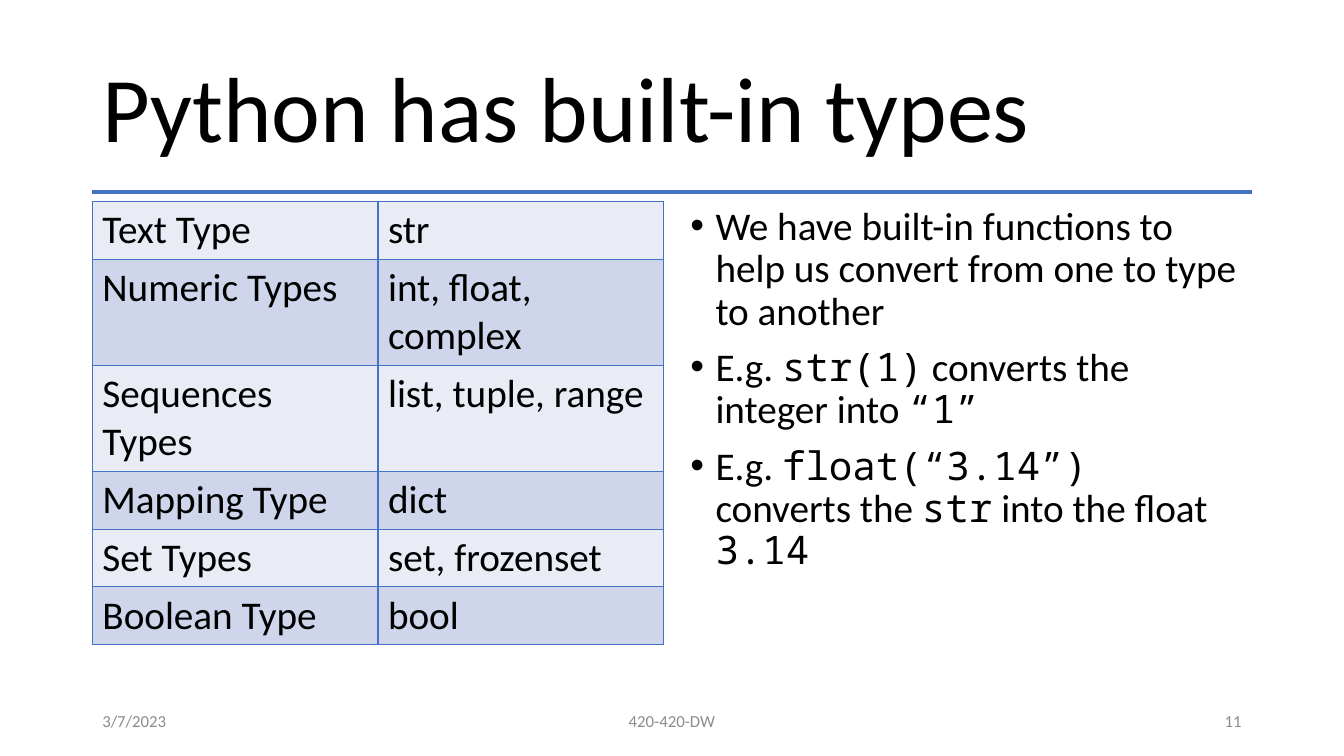
from dataclasses import dataclass

from lxml.etree import SubElement
from pptx import Presentation
from pptx.dml.color import RGBColor
from pptx.enum.shapes import MSO_CONNECTOR
from pptx.enum.text import MSO_ANCHOR, PP_ALIGN
from pptx.oxml.ns import qn
from pptx.slide import Slide
from pptx.table import _Cell
from pptx.text.text import TextFrame, _Paragraph
from pptx.util import Emu, Pt


@dataclass(frozen=True)
class Theme:
    text: str = "000000"
    muted: str = "8C8C8C"
    accent: str = "4472C4"
    bands: tuple[str, str] = ("E9EBF5", "CFD5EA")
    sans: str = "Calibri"
    mono: str = "Noto Sans Mono"
    title_size: int = 66
    body_size: int = 28
    footer_size: int = 12


@dataclass(frozen=True)
class Box:
    left: int
    top: int
    width: int
    height: int


@dataclass(frozen=True)
class TypeRow:
    category: str
    types: str
    height: int


@dataclass(frozen=True)
class Footer:
    text: str
    left: int
    width: int
    alignment: PP_ALIGN


THEME = Theme()

# Layout: 96 px to the inch
SLIDE_WIDTH, SLIDE_HEIGHT = 1280, 720
MARGIN = 88
CONTENT_WIDTH = SLIDE_WIDTH - 2 * MARGIN
CONTENT_TOP = 192
COLUMN_WIDTH = 544
RULE_TOP = 183
FOOTER_TOP, FOOTER_HEIGHT = 667, 38
INDENT = 24
ONE_LINE, TWO_LINES = 55, 101

TYPE_ROWS = [
    TypeRow("Text Type", "str", ONE_LINE),
    TypeRow("Numeric Types", "int, float, complex", TWO_LINES),
    TypeRow("Sequences Types", "list, tuple, range", TWO_LINES),
    TypeRow("Mapping Type", "dict", ONE_LINE),
    TypeRow("Set Types", "set, frozenset", ONE_LINE),
    TypeRow("Boolean Type", "bool", ONE_LINE),
]

# Each bullet alternates between prose and code, starting with prose
BULLETS = [
    ["We have built-in functions to help us convert from one to type to another"],
    ["E.g. ", "str(1)", " converts the integer into ", "“1”"],
    ["E.g. ", "float(“3.14”) ", "converts the ", "str", " into the float ", "3.14"],
]

FOOTERS = [
    Footer("3/7/2023", MARGIN, 288, PP_ALIGN.LEFT),
    Footer("420-420-DW", 424, 432, PP_ALIGN.CENTER),
    Footer("11", 904, 288, PP_ALIGN.RIGHT),
]


def px(length: int) -> Emu:
    return Emu(length * 9525)


def style(paragraph: _Paragraph, size: int, color: str = THEME.text) -> None:
    paragraph.font.size = Pt(size)
    paragraph.font.name = THEME.sans
    paragraph.font.color.rgb = RGBColor.from_string(color)


def add_text_frame(slide: Slide, box: Box, anchor: MSO_ANCHOR) -> TextFrame:
    shape = slide.shapes.add_textbox(
        px(box.left), px(box.top), px(box.width), px(box.height)
    )
    text_frame = shape.text_frame
    text_frame.word_wrap = True
    text_frame.vertical_anchor = anchor
    return text_frame


def add_title(slide: Slide) -> None:
    box = Box(MARGIN, 38, CONTENT_WIDTH, 139)
    paragraph = add_text_frame(slide, box, MSO_ANCHOR.MIDDLE).paragraphs[0]
    paragraph.text = "Python has built-in types"
    paragraph.line_spacing = 0.9
    style(paragraph, THEME.title_size)


def add_rule(slide: Slide) -> None:
    rule = slide.shapes.add_connector(
        MSO_CONNECTOR.STRAIGHT,
        px(MARGIN), px(RULE_TOP), px(MARGIN + CONTENT_WIDTH), px(RULE_TOP),
    )
    rule.line.color.rgb = RGBColor.from_string(THEME.accent)
    rule.line.width = Pt(3)
    SubElement(rule._element.spPr, qn("a:effectLst"))


def style_cell(cell: _Cell, fill: str) -> None:
    properties = cell._tc.get_or_add_tcPr()
    for side in ("a:lnL", "a:lnR", "a:lnT", "a:lnB"):
        border = SubElement(properties, qn(side), w=str(Pt(1)))
        border_fill = SubElement(border, qn("a:solidFill"))
        SubElement(border_fill, qn("a:srgbClr"), val=THEME.accent)
    cell.fill.solid()
    cell.fill.fore_color.rgb = RGBColor.from_string(fill)


def add_type_table(slide: Slide) -> None:
    height = sum(row.height for row in TYPE_ROWS)
    table = slide.shapes.add_table(
        len(TYPE_ROWS), 2,
        px(MARGIN), px(CONTENT_TOP), px(COLUMN_WIDTH), px(height),
    ).table
    table.first_row = False
    for index, row in enumerate(TYPE_ROWS):
        table.rows[index].height = px(row.height)
        for column, text in enumerate((row.category, row.types)):
            cell = table.cell(index, column)
            cell.text = text
            style(cell.text_frame.paragraphs[0], THEME.body_size)
            style_cell(cell, THEME.bands[index % 2])


def add_bullets(slide: Slide) -> None:
    left = MARGIN + CONTENT_WIDTH - COLUMN_WIDTH
    box = Box(left, CONTENT_TOP, COLUMN_WIDTH, 457)
    text_frame = add_text_frame(slide, box, MSO_ANCHOR.TOP)
    for index, parts in enumerate(BULLETS):
        paragraph = text_frame.add_paragraph() if index else text_frame.paragraphs[0]
        paragraph.line_spacing = 0.9
        paragraph.space_before = Pt(10)
        properties = paragraph._p.get_or_add_pPr()
        properties.set("marL", str(px(INDENT)))
        properties.set("indent", str(px(-INDENT)))
        SubElement(properties, qn("a:buFont"), typeface="Arial")
        SubElement(properties, qn("a:buChar"), char="•")
        style(paragraph, THEME.body_size)
        for position, text in enumerate(parts):
            run = paragraph.add_run()
            run.text = text
            if position % 2:
                run.font.name = THEME.mono


def add_footer(slide: Slide, footer: Footer) -> None:
    box = Box(footer.left, FOOTER_TOP, footer.width, FOOTER_HEIGHT)
    paragraph = add_text_frame(slide, box, MSO_ANCHOR.MIDDLE).paragraphs[0]
    paragraph.text = footer.text
    paragraph.alignment = footer.alignment
    style(paragraph, THEME.footer_size, THEME.muted)


def main() -> None:
    presentation = Presentation()
    presentation.slide_width = px(SLIDE_WIDTH)
    presentation.slide_height = px(SLIDE_HEIGHT)
    slide = presentation.slides.add_slide(presentation.slide_layouts[6])

    # Heading
    add_rule(slide)
    add_title(slide)

    # Content
    add_type_table(slide)
    add_bullets(slide)

    # Footer
    for footer in FOOTERS:
        add_footer(slide, footer)

    presentation.save("out.pptx")


if __name__ == "__main__":
    main()
